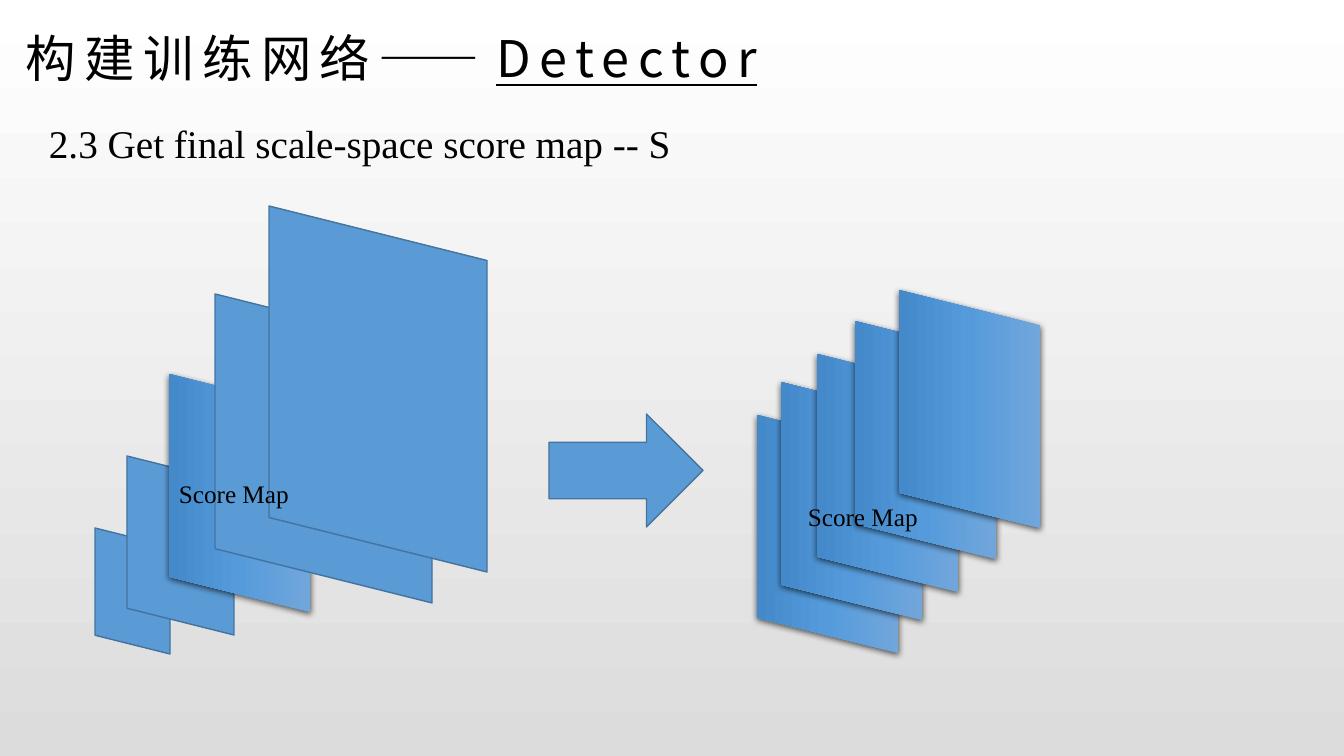
import copy
import pptx
import pptx.util
import pptx.dml.color
import pptx.enum.shapes
import pptx.enum.text
import pptx.oxml
import pptx.oxml.ns

PX = 914400 / 100.8
RGB = pptx.dml.color.RGBColor
SHAPE = pptx.enum.shapes.MSO_SHAPE
qn = pptx.oxml.ns.qn
BLACK = RGB(0x00, 0x00, 0x00)
BLUE = RGB(0x5B, 0x9B, 0xD5)
OUTLINE = RGB(0x43, 0x73, 0x9E)
GLOSS = [RGB(0x71, 0xA6, 0xDB), RGB(0x55, 0x9B, 0xDB), RGB(0x44, 0x8A, 0xCA)]
BACKDROP = [RGB(0xFF, 0xFF, 0xFF), RGB(0xDC, 0xDC, 0xDC)]
SHADOW = (
    f'<a:outerShdw {pptx.oxml.ns.nsdecls("a")} blurRad="57150" dist="19050" '
    'dir="5400000" algn="ctr" rotWithShape="0"><a:srgbClr val="000000">'
    '<a:alpha val="63000"/></a:srgbClr></a:outerShdw>')

prs = pptx.Presentation()
prs.slide_width, prs.slide_height = round(1344 * PX), round(756 * PX)
s = prs.slides.add_slide(prs.slide_layouts[6])


def add_text(box, runs, font, size, wrap=True):
    tb = s.shapes.add_textbox(*(round(v * PX) for v in box))
    tf = tb.text_frame
    tf.word_wrap = wrap
    for text, underline in runs:
        r = tf.paragraphs[0].add_run()
        r.text = text
        r.font.name = font
        r.font.size = pptx.util.Pt(size)
        r.font.color.rgb = BLACK
        if underline:
            r.font.underline = True
    return tf


def add_block(kind, x, y, w, h, turned=False, glossy=False):
    """Place a shape by its visible box; a turned one is rotated by 90 degrees."""
    if turned:
        x, y, w, h = x + (w - h) / 2, y + (h - w) / 2, h, w
    sp = s.shapes.add_shape(kind, *(round(v * PX) for v in (x, y, w, h)))
    sp.rotation = 90 if turned else 0
    sp.shadow.inherit = False
    if not glossy:
        sp.fill.solid()
        sp.fill.fore_color.rgb = BLUE
        sp.line.color.rgb = OUTLINE
        sp.line.width = pptx.util.Pt(1)
        return
    sp.line.fill.background()
    sp.fill.gradient()
    sp.fill.gradient_angle = 270
    stops = sp._element.spPr.find('.//' + qn('a:gsLst'))
    stops.insert(1, copy.deepcopy(stops[0]))
    for i, stop in enumerate(sp.fill.gradient_stops):
        stop.position = i / 2
        stop.color.rgb = GLOSS[i]
    sp._element.spPr.find(qn('a:effectLst')).append(pptx.oxml.parse_xml(SHADOW))


# Background
bg = s.background.fill
bg.gradient()
bg.gradient_angle = 270
for stop, colour in zip(bg.gradient_stops, BACKDROP):
    stop.color.rgb = colour

# Title and subtitle
tf = add_text((15, 29, 1197, 85), [('构建训练网络——', False), ('Detector', True)],
              'Noto Sans CJK SC', 36)
tf.margin_left, tf.margin_right = round(11 * PX), round(3 * PX)
tf.vertical_anchor = pptx.enum.text.MSO_ANCHOR.TOP
tf.paragraphs[0].line_spacing = 0.9
for r in tf.paragraphs[0].runs:
    rPr = r.font._element if hasattr(r.font, '_element') else r._r.get_or_add_rPr()
    rPr.set('spc', '600')
    ea = pptx.oxml.parse_xml(
        f'<a:ea {pptx.oxml.ns.nsdecls("a")} typeface="Noto Sans CJK SC"/>')
    rPr.find(qn('a:latin')).addnext(ea)
add_text((39, 114, 677, 57), [('2.3 Get final scale-space score map -- S', False)],
         'Times New Roman', 28)

# Score maps at growing scales
for x, y, w, h, glossy in [(95, 528, 75, 126, False), (127, 456, 107, 179, False),
                           (169, 374, 141, 238, True), (215, 294, 217, 309, False),
                           (269, 206, 218, 366, False)]:
    add_block(SHAPE.PARALLELOGRAM, x, y, w, h, True, glossy)
add_text((169, 473, 130, 40), [('Score Map', False)], 'Times New Roman', 18, False)

# Score maps resized to one scale
for x, y in [(757, 415), (781, 382), (817, 354), (855, 321), (899, 290)]:
    add_block(SHAPE.PARALLELOGRAM, x, y, 141, 238, True, True)
add_text((798, 496, 130, 40), [('Score Map', False)], 'Times New Roman', 18, False)

# Arrow between the stacks
add_block(SHAPE.RIGHT_ARROW, 549, 414, 154, 113)

prs.save("out.pptx")
